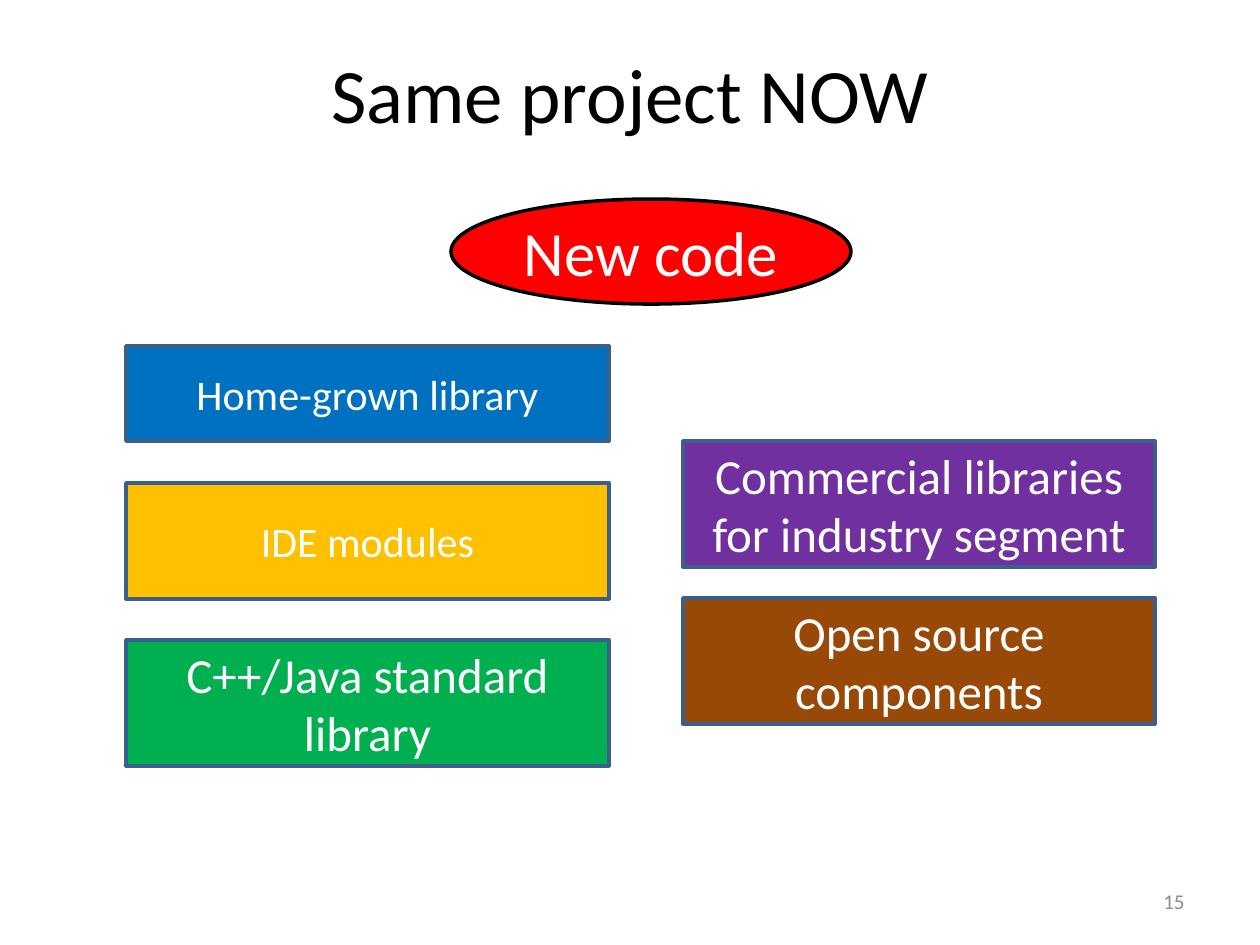
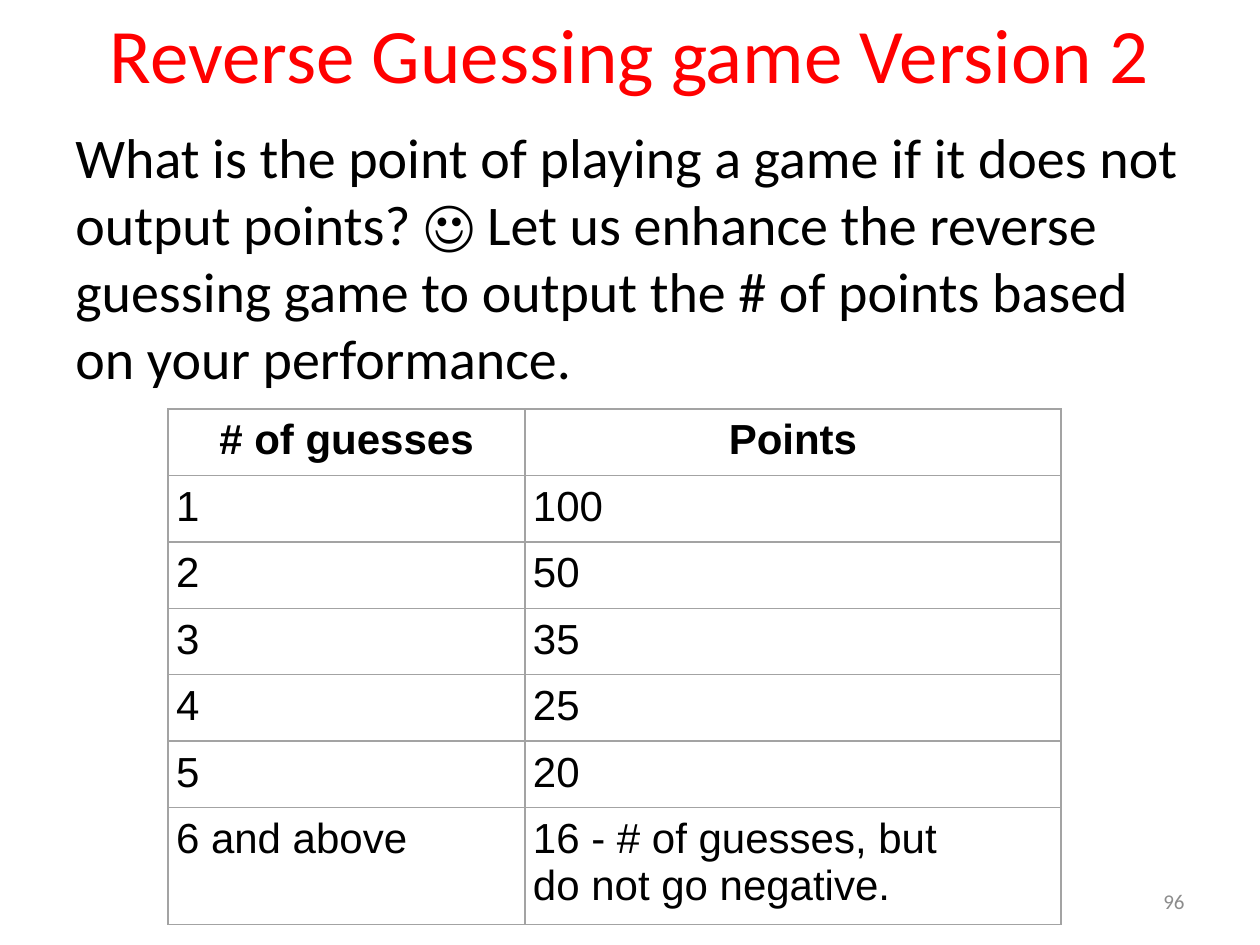
"""Build two course slides: the parts of a project and a scoring table for a game."""
from lxml import etree
from pptx import Presentation
from pptx import util as u
from pptx.dml.color import RGBColor
from pptx.enum import shapes, text
from pptx.oxml.ns import qn

PX = 914400 // 126
COLORS = {
    "black": "000000", "white": "FFFFFF", "red": "FF0000", "green": "00B050",
    "blue": "0070C0", "amber": "FFC000", "brown": "984807", "purple": "7030A0",
    "outline": "3A5F8C", "number": "8C8C8C", "grid": "A3A3A3",
}
LEFT, CENTER, RIGHT = text.PP_ALIGN.LEFT, text.PP_ALIGN.CENTER, text.PP_ALIGN.RIGHT
MIDDLE, TOP = text.MSO_ANCHOR.MIDDLE, text.MSO_ANCHOR.TOP


def write(frame, words, size, color, align, anchor=MIDDLE, font="Calibri", bold=False):
    frame.text = words
    frame.word_wrap = True
    frame.vertical_anchor = anchor
    for paragraph in frame.paragraphs:
        paragraph.alignment = align
        for run in paragraph.runs:
            run.font.name = font
            run.font.size = u.Pt(size)
            run.font.bold = bold
            run.font.color.rgb = RGBColor.from_string(COLORS[color])


def add_text(slide, box, *style):
    frame = slide.shapes.add_textbox(*[n * PX for n in box]).text_frame
    write(frame, *style)
    return frame


deck = Presentation()
deck.slide_width, deck.slide_height = 1260 * PX, 945 * PX
blank = deck.slide_layouts[6]

pages = []
for title, color, top, height, number in [
    ("Same project NOW", "black", 38, 110, "15"),
    ("Reverse Guessing game Version 2", "red", 0, 105, "96"),
]:
    page = deck.slides.add_slide(blank)
    add_text(page, (63, top, 1134, height), title, 44, color, CENTER)
    add_text(page, (903, 876, 294, 50), number, 12, "number", RIGHT)
    pages.append(page)
project, game = pages

RECT, OVAL = shapes.MSO_SHAPE.RECTANGLE, shapes.MSO_SHAPE.OVAL
for kind, words, size, fill, outline, box in [
    (RECT, "C++/Java standard library", 28, "green", "outline", (126, 640, 483, 126)),
    (RECT, "Home-grown library", 24, "blue", "outline", (126, 346, 483, 95)),
    (RECT, "Open source components", 28, "brown", "outline", (683, 598, 472, 126)),
    (RECT, "Commercial libraries for industry segment", 28, "purple", "outline",
     (683, 441, 472, 126)),
    (RECT, "IDE modules", 24, "amber", "outline", (126, 483, 483, 116)),
    (OVAL, "New code", 36, "red", "black", (451, 199, 400, 105)),
]:
    part = project.shapes.add_shape(kind, *[n * PX for n in box])
    part.shadow.inherit = False
    part.fill.solid()
    part.fill.fore_color.rgb = RGBColor.from_string(COLORS[fill])
    part.line.color.rgb = RGBColor.from_string(COLORS[outline])
    part.line.width = u.Pt(2)
    write(part.text_frame, words, size, "white", CENTER)

question = add_text(
    game, (63, 116, 1134, 787),
    "What is the point of playing a game if it does not output points? ☺ Let us enhance "
    "the reverse guessing game to output the # of points based on your performance.",
    32, "black", LEFT, TOP)
question.paragraphs[0].space_before = u.Pt(6.4)

scores = [
    ("# of guesses", "Points"),
    ("1", "100"), ("2", "50"), ("3", "35"), ("4", "25"), ("5", "20"),
    ("6 and above", "16 - # of guesses, but \vdo not go negative."),
]
widths = [357, 536]
heights = [63] * 6 + [112]
points = game.shapes.add_table(
    len(scores), 2, 168 * PX, 409 * PX, sum(widths) * PX, sum(heights) * PX).table
for column, width in zip(points.columns, widths):
    column.width = width * PX
for r, (row, height) in enumerate(zip(scores, heights)):
    points.rows[r].height = height * PX
    for c, words in enumerate(row):
        cell = points.cell(r, c)
        write(cell.text_frame, words, 24, "black", LEFT if r else CENTER, TOP, "Arial", r == 0)
        cell.margin_left = cell.margin_right = cell.margin_top = cell.margin_bottom = 8 * PX
        properties = cell._tc.get_or_add_tcPr()
        for side in ("a:lnL", "a:lnR", "a:lnT", "a:lnB"):
            border = etree.SubElement(properties, qn(side), w=str(u.Pt(1)))
            ink = etree.SubElement(border, qn("a:solidFill"))
            etree.SubElement(ink, qn("a:srgbClr"), val=COLORS["grid"])
        cell.fill.solid()
        cell.fill.fore_color.rgb = RGBColor.from_string(COLORS["white"])

deck.save("out.pptx")
